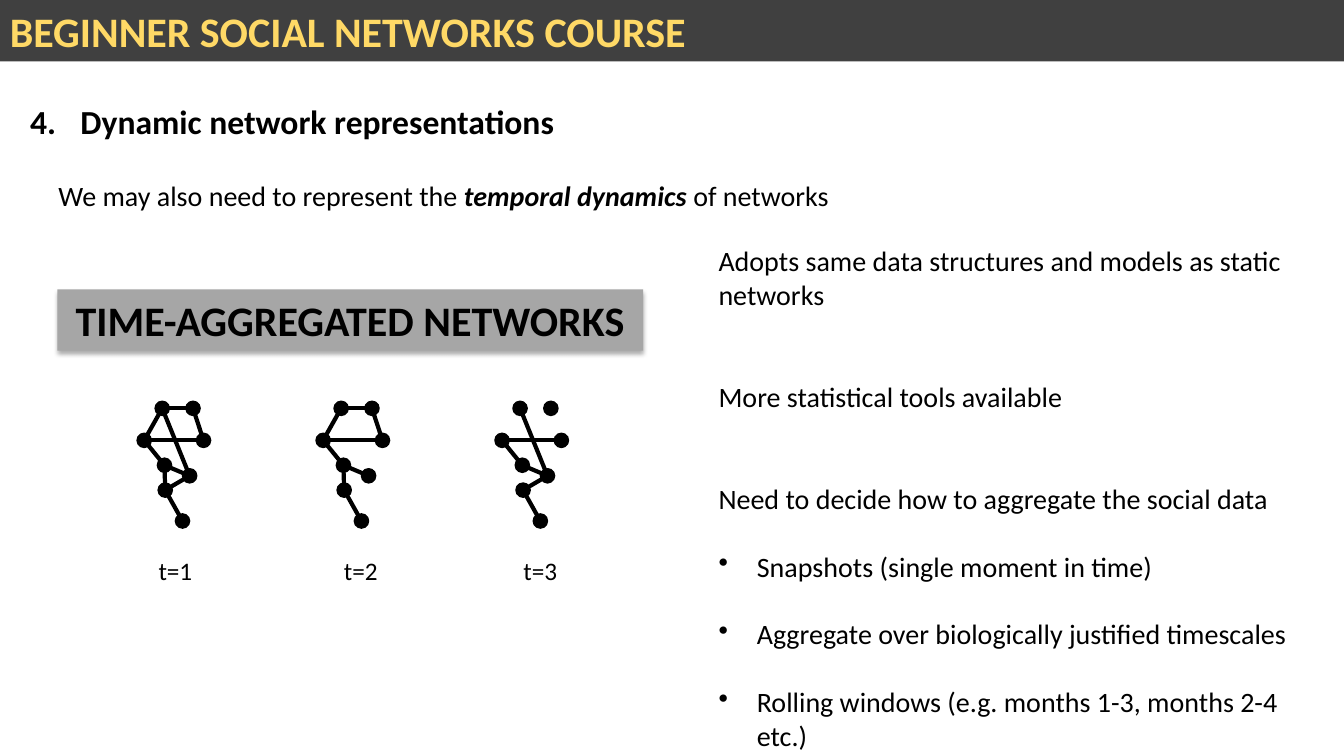
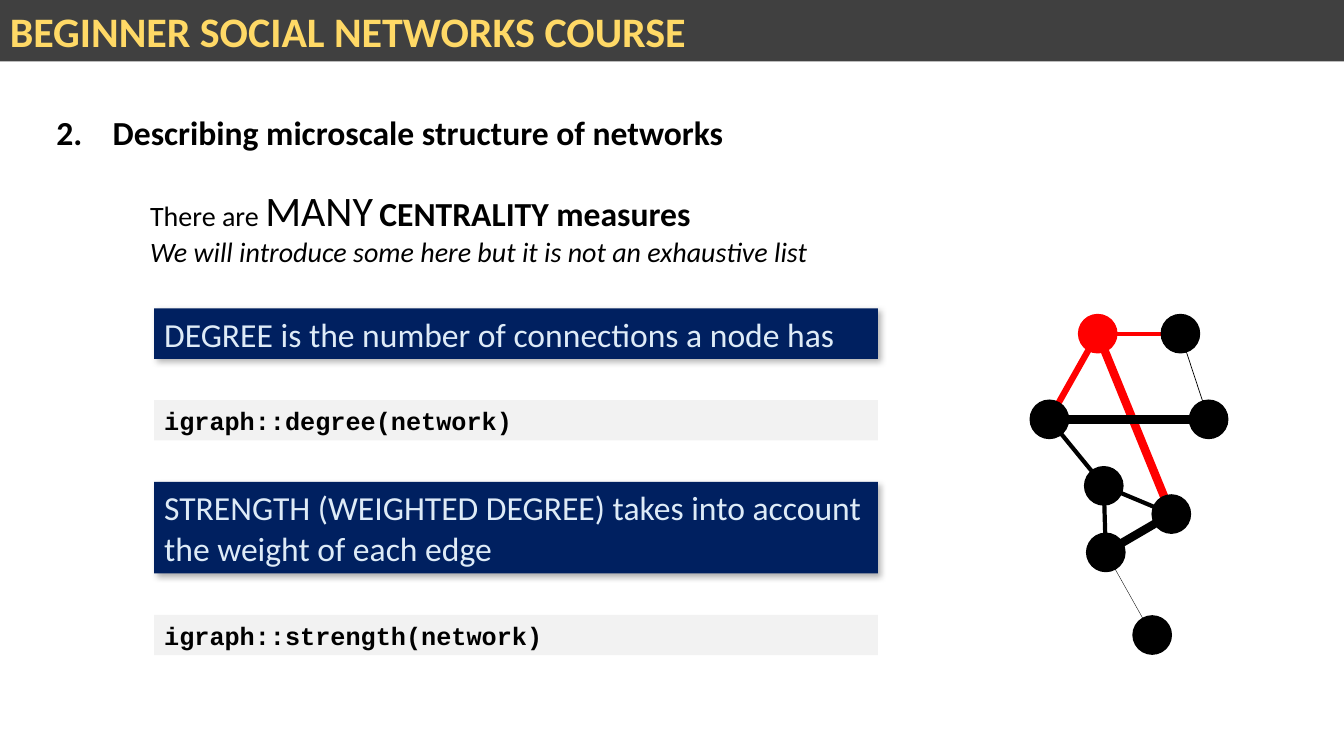
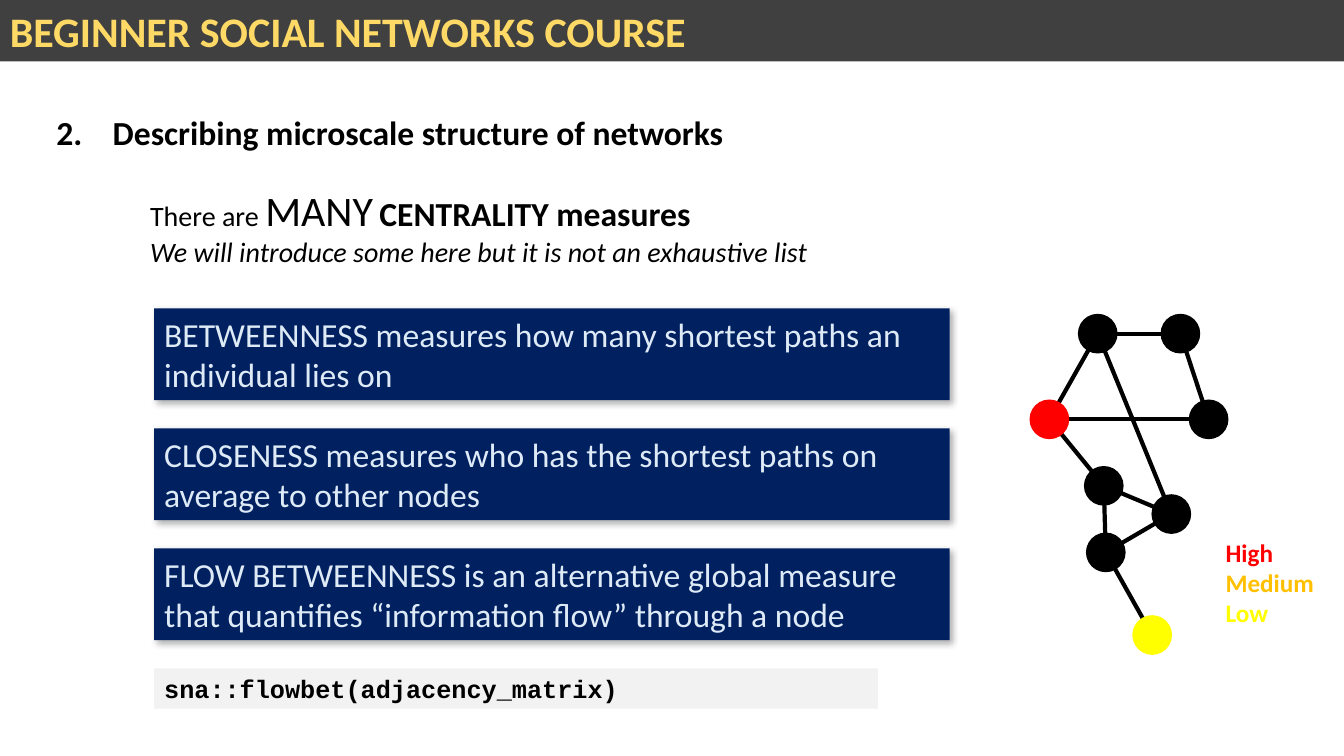
from collections import namedtuple

from lxml.etree import SubElement
from pptx import Presentation
from pptx.dml.color import RGBColor
from pptx.enum.shapes import MSO_CONNECTOR, MSO_SHAPE
from pptx.enum.text import MSO_ANCHOR, PP_ALIGN
from pptx.oxml.ns import qn
from pptx.util import Inches, Pt

BLACK = RGBColor(0x00, 0x00, 0x00)
CHARCOAL = RGBColor(0x40, 0x40, 0x40)
GOLD = RGBColor(0xFF, 0xD9, 0x66)
GREY = RGBColor(0xA6, 0xA6, 0xA6)
PALE_GREY = RGBColor(0xF2, 0xF2, 0xF2)
NAVY = RGBColor(0x00, 0x20, 0x60)
PALE_BLUE = RGBColor(0xDE, 0xEB, 0xF7)
RED = RGBColor(0xFF, 0x00, 0x00)
AMBER = RGBColor(0xFF, 0xC0, 0x00)
YELLOW = RGBColor(0xFF, 0xFF, 0x00)

CELL = Inches(0.1)
COLUMNS, ROWS = 133.33, 75
Box = namedtuple("Box", "left top width height")

BODY = {"name": "Calibri", "size": Pt(20), "color": BLACK}
HEADING = {**BODY, "size": Pt(24), "bold": True}
BANNER = {**BODY, "size": Pt(30), "bold": True}
COURSE = {**BANNER, "color": GOLD}
TIME_LABEL = {**BODY, "size": Pt(18)}
LEGEND = {**TIME_LABEL, "bold": True}
DEFINITION = {**BODY, "size": Pt(24), "color": PALE_BLUE}
CODE = {**LEGEND, "name": "Courier New"}

BANNER_SHADOW = {"alpha": 32, "blur": 3.5, "distance": 2.2, "angle": 90}
DEFINITION_SHADOW = {"alpha": 30, "blur": 4.5, "distance": 2.6, "angle": 53}
PANELS = {
    "definition": (NAVY, DEFINITION, DEFINITION_SHADOW),
    "code": (PALE_GREY, CODE, None),
}

NETWORK_WIDTH, NETWORK_HEIGHT, NODE_SIZE = 19.6, 33.7, 3.8
NODES = {
    "left": (1.9, 10.4),
    "right": (17.7, 10.4),
    "hub": (7.3, 17),
    "fork": (14, 19.8),
    "low": (7.5, 23.6),
    "tail": (12.1, 31.8),
    "top left": (6.7, 1.9),
    "top right": (14.9, 1.9),
}
EDGES = [
    ("left", "top left"),
    ("top left", "top right"),
    ("top left", "fork"),
    ("left", "right"),
    ("top right", "right"),
    ("left", "hub"),
    ("hub", "low"),
    ("hub", "fork"),
    ("low", "fork"),
    ("low", "tail"),
]


def place(box):
    return [round(length * CELL) for length in box]


def apply_style(font, style):
    for attribute, value in style.items():
        if attribute == "color":
            font.color.rgb = value
        else:
            setattr(font, attribute, value)


def write(frame, paragraphs, style, **layout):
    frame.word_wrap = True
    for index, runs in enumerate(paragraphs):
        paragraph = frame.paragraphs[0] if index == 0 else frame.add_paragraph()
        for attribute, value in layout.items():
            setattr(paragraph, attribute, value)
        for text, changes in runs:
            run = paragraph.add_run()
            run.text = text
            apply_style(run.font, {**style, **changes})
    return frame.paragraphs


def add_text(slide, box, paragraphs, style, **layout):
    frame = slide.shapes.add_textbox(*place(box)).text_frame
    return write(frame, paragraphs, style, **layout)


def add_bullet(paragraph, indent, marker, **values):
    properties = paragraph._p.get_or_add_pPr()
    properties.set("marL", str(round(indent * CELL)))
    properties.set("indent", str(round(-indent * CELL)))
    SubElement(properties, qn(marker), values)


def add_shadow(shape, alpha, blur, distance, angle):
    effects = shape.element.spPr.find(qn("a:effectLst"))
    shadow = SubElement(effects, qn("a:outerShdw"), {
        "blurRad": str(Pt(blur)),
        "dist": str(Pt(distance)),
        "dir": str(angle * 60000),
        "algn": "t",
        "rotWithShape": "0",
    })
    tint = SubElement(shadow, qn("a:srgbClr"), val=str(BLACK))
    SubElement(tint, qn("a:alpha"), val=str(alpha * 1000))


def add_panel(slide, box, text, fill, style, shadow=None, align=PP_ALIGN.LEFT):
    panel = slide.shapes.add_shape(MSO_SHAPE.RECTANGLE, *place(box))
    panel.fill.solid()
    panel.fill.fore_color.rgb = fill
    panel.line.fill.background()
    panel.shadow.inherit = False
    if shadow:
        add_shadow(panel, **shadow)
    panel.text_frame.vertical_anchor = MSO_ANCHOR.MIDDLE
    write(panel.text_frame, [[(text, {})]], style, alignment=align)
    return panel


def add_course_band(slide, layout):
    band = add_panel(slide, Box(0, 0, COLUMNS, 6.1),
                     "BEGINNER SOCIAL NETWORKS COURSE", CHARCOAL, COURSE)
    band.element.nvSpPr.cNvPr.set("id", "20")
    layout.shapes.element.append(band.element)


def add_heading(slide, box, number, text, indent):
    heading = add_text(slide, box, [[(text, {})]], HEADING)[0]
    add_bullet(heading, indent, "a:buAutoNum", type="arabicPeriod", startAt=str(number))


def add_edge(group, start, end, color, weight):
    edge = group.shapes.add_connector(MSO_CONNECTOR.STRAIGHT, *place(start + end))
    edge.line.color.rgb = color
    edge.line.width = Pt(weight)
    SubElement(edge.element.spPr, qn("a:effectLst"))


def add_node(group, center, size, color):
    x, y = center
    node = group.shapes.add_shape(
        MSO_SHAPE.OVAL, *place((x - size / 2, y - size / 2, size, size)))
    node.fill.solid()
    node.fill.fore_color.rgb = color
    node.line.color.rgb = color
    node.line.width = Pt(1)
    node.shadow.inherit = False


def add_network(slide, box, edges=EDGES, node_colors={}, edge_colors={}, weights={}):
    group = slide.shapes.add_group_shape()
    scale_x = box.width / NETWORK_WIDTH
    scale_y = box.height / NETWORK_HEIGHT
    centers = {name: (box.left + x * scale_x, box.top + y * scale_y)
               for name, (x, y) in NODES.items()}
    for edge in edges:
        start, end = edge
        add_edge(group, centers[start], centers[end],
                 edge_colors.get(edge, BLACK), weights.get(edge, 3))
    for name, center in centers.items():
        add_node(group, center, NODE_SIZE * scale_x, node_colors.get(name, BLACK))


def add_snapshots(slide, box):
    dropped = [
        [],
        [("top left", "fork"), ("low", "fork")],
        [("left", "top left"), ("top left", "top right"),
         ("top right", "right"), ("hub", "low")],
    ]
    label_lefts = (-0.4, 18, 35.8)
    pitch = 17.75
    for index, (missing, label_left) in enumerate(zip(dropped, label_lefts)):
        network = Box(box.left + index * pitch, box.top, 7.3, 12.6)
        add_network(slide, network, [edge for edge in EDGES if edge not in missing])
        label = Box(box.left + label_left, box.top + 14.8, 8.4, 4)
        add_text(slide, label, [[(f"t={index + 1}", {})]], TIME_LABEL,
                 alignment=PP_ALIGN.CENTER)


def add_considerations(slide, box):
    points = [
        "Adopts same data structures and models as static networks",
        "More statistical tools available",
        "Need to decide how to aggregate the social data",
    ]
    options = [
        "Snapshots (single moment in time)",
        "Aggregate over biologically justified timescales",
        "Rolling windows (e.g. months 1-3, months 2-4 etc.)",
    ]
    line = 24.4
    paragraphs = add_text(slide, box, [[(text, {})] for text in points + options], BODY)
    for paragraph in paragraphs[1:len(points)]:
        paragraph.space_before = Pt(2 * line)
    for paragraph in paragraphs[len(points):]:
        paragraph.space_before = Pt(line)
        add_bullet(paragraph, 3.8, "a:buChar", char="•")


def add_panel_stack(slide, box, gap, panels):
    top = box.top
    for kind, width, height, text in panels:
        add_panel(slide, Box(box.left, top, width, height), text, *PANELS[kind])
        top += height + gap


def build_dynamics(slide):
    add_heading(slide, Box(2, 9.5, 127.8, 9.1), 4, "Dynamic network representations", 5)
    add_text(slide, Box(4.8, 17.2, 125.2, 4.4), [[
        ("We may also need to represent the ", {}),
        ("temporal dynamics ", {"bold": True, "italic": True}),
        ("of networks", {}),
    ]], BODY)
    add_considerations(slide, Box(70.3, 23.7, 63, 51.3))
    add_panel(slide, Box(5.7, 28.7, 58.1, 6.1), "TIME-AGGREGATED NETWORKS",
              GREY, BANNER, BANNER_SHADOW, PP_ALIGN.CENTER)
    add_snapshots(slide, Box(13.6, 39.8, 42.8, 18.8))


def build_centrality(slide, gap, panels, **network):
    add_heading(slide, Box(4.6, 10.6, 77.9, 5), 2,
                "Describing microscale structure of networks", 5.6)
    add_text(slide, Box(13.9, 17.8, 107.8, 12.8), [
        [("There are ", {}), ("MANY", {"size": Pt(30)}), (" ", {}),
         ("CENTRALITY measures", {"size": Pt(24), "bold": True})],
        [("We will introduce some here but it is not an exhaustive list",
          {"italic": True})],
    ], BODY)
    add_panel_stack(slide, Box(15.3, 30.6, 78.9, 40), gap, panels)
    add_network(slide, Box(102.2, 31.2, NETWORK_WIDTH, NETWORK_HEIGHT), **network)


def build_degree(slide):
    hub_edges = [edge for edge in EDGES if "top left" in edge]
    build_centrality(
        slide, 4.1,
        [
            ("definition", 71.8, 5, "DEGREE is the number of connections a node has"),
            ("code", 71.8, 4, "igraph::degree(network)"),
            ("definition", 71.8, 9.1, "STRENGTH (WEIGHTED DEGREE) takes into account "
                                      "the weight of each edge"),
            ("code", 71.8, 4, "igraph::strength(network)"),
        ],
        node_colors={"top left": RED},
        edge_colors=dict.fromkeys(hub_edges, RED),
        weights={
            ("left", "top left"): 4.5,
            ("top left", "fork"): 6,
            ("left", "right"): 6,
            ("low", "fork"): 6,
            ("top right", "right"): 0.5,
            ("low", "tail"): 0.25,
        },
    )


def build_betweenness(slide):
    build_centrality(
        slide, 2.8,
        [
            ("definition", 78.9, 9.1, "BETWEENNESS measures how many shortest paths "
                                      "an individual lies on"),
            ("definition", 78.9, 9.1, "CLOSENESS measures who has the shortest paths "
                                      "on average to other nodes"),
            ("definition", 78.9, 9.1, "FLOW BETWEENNESS is an alternative global measure "
                                      "that quantifies “information flow” through a node"),
            ("code", 71.8, 4, "sna::flowbet(adjacency_matrix)"),
        ],
        node_colors={"left": RED, "tail": YELLOW},
    )
    levels = [("High", RED), ("Medium", AMBER), ("Low", YELLOW)]
    add_text(slide, Box(120.6, 52.8, 11.7, 10.1),
             [[(level, {"color": color})] for level, color in levels], LEGEND)


def main():
    deck = Presentation()
    deck.slide_width, deck.slide_height = place((COLUMNS, ROWS))
    blank = deck.slide_layouts[6]
    slides = [deck.slides.add_slide(blank) for _ in range(3)]
    add_course_band(slides[0], blank)
    for slide, build in zip(slides, (build_dynamics, build_degree, build_betweenness)):
        build(slide)
    deck.save("out.pptx")


if __name__ == "__main__":
    main()
